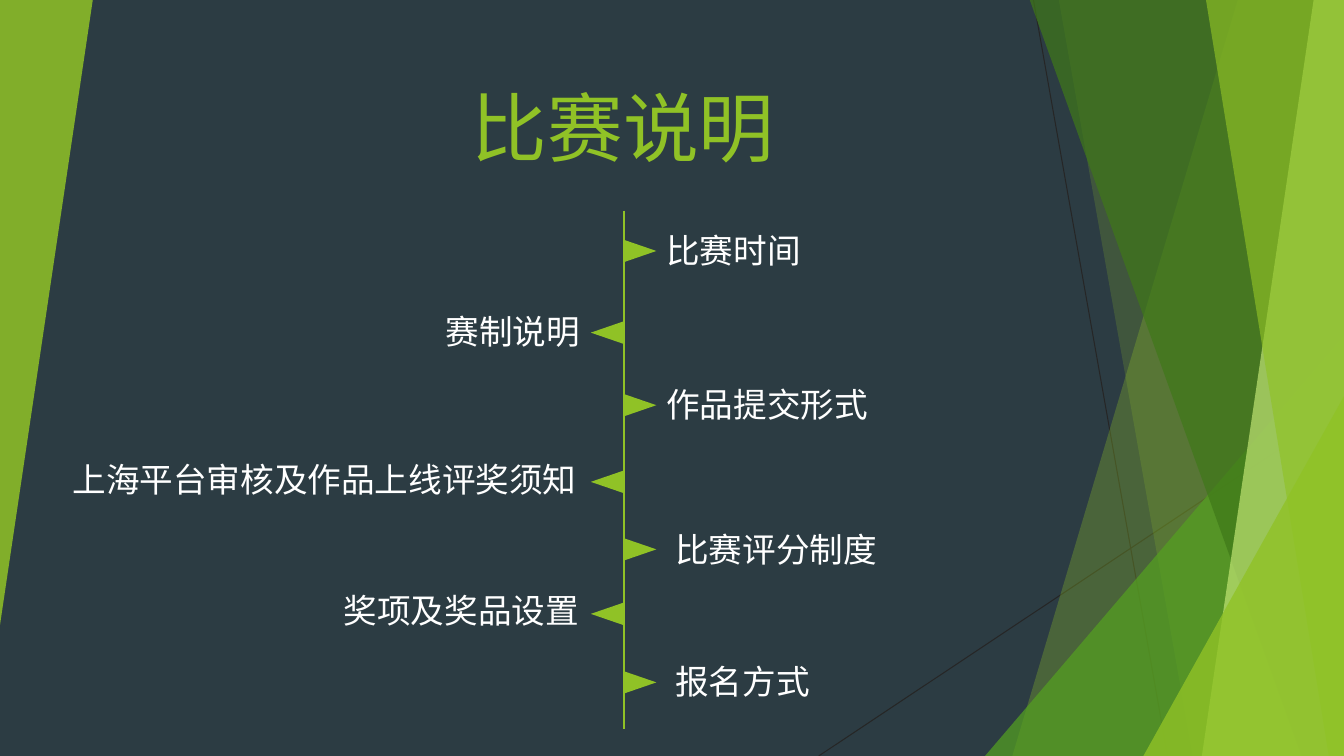
from lxml import etree
from pptx import Presentation
from pptx.dml.color import RGBColor
from pptx.enum import shapes, text
from pptx.oxml.ns import qn
from pptx.util import Inches, Pt

DARK = RGBColor(0x2C, 0x3C, 0x43)
BLACK = RGBColor(0x26, 0x26, 0x26)
WHITE = RGBColor(0xFF, 0xFF, 0xFF)
LIME = RGBColor(0x90, 0xC2, 0x26)
GREEN = RGBColor(0x54, 0xA0, 0x21)
DEEP = RGBColor(0x3F, 0x78, 0x19)
PALE = RGBColor(0xC0, 0xE4, 0x74)
TRI = shapes.MSO_SHAPE.ISOSCELES_TRIANGLE

prs = Presentation()
prs.slide_width, prs.slide_height = Inches(13.33), Inches(7.5)
slide = prs.slides.add_slide(prs.slide_layouts[0])
slide.background.fill.solid()
slide.background.fill.fore_color.rgb = DARK
sub = slide.placeholders[1].element
sub.getparent().remove(sub)


def write(box, words, size=24, color=WHITE, font="Noto Sans CJK SC",
          align=text.PP_ALIGN.LEFT, anchor=text.MSO_ANCHOR.TOP,
          wrap=True, fit=text.MSO_AUTO_SIZE.SHAPE_TO_FIT_TEXT):
    frame = box.text_frame
    frame.word_wrap, frame.auto_size = wrap, fit
    frame.vertical_anchor = anchor
    para = frame.paragraphs[0]
    para.alignment = align
    run = para.add_run()
    run.text = words
    run.font.size, run.font.name = Pt(size), font
    run.font.color.rgb = color
    etree.SubElement(run.font._element, qn("a:ea"), typeface=font)


def paint(shape, color, alpha=100):
    shape.shadow.inherit = False
    shape.line.fill.background()
    shape.fill.solid()
    shape.fill.fore_color.rgb = color
    if alpha < 100:
        tint = shape.fill._xPr.find(".//" + qn("a:srgbClr"))
        etree.SubElement(tint, qn("a:alpha"), val=str(alpha * 1000))


# Thin lines: two behind the facets, one as the timeline
for x1, y1, x2, y2, color, width in [
        (10.25, 0, 11.58, 7.5, BLACK, 0.75),
        (13.33, 4.03, 8.12, 7.5, BLACK, 0.75),
        (6.19, 2.09, 6.19, 7.23, LIME, 1)]:
    line = slide.shapes.add_connector(
        shapes.MSO_CONNECTOR.STRAIGHT,
        Inches(x1), Inches(y1), Inches(x2), Inches(y2))
    line.line.color.rgb, line.line.width = color, Pt(width)
    etree.SubElement(line._element.spPr, qn("a:effectLst"))

# Facets, back to front: bands (top x, bottom x) run to the right edge,
# corners (left, top, width, height, turn) are right triangles
for kind, dims, color, alpha in [
        ("band", (12.28, 10.04), LIME, 30),
        ("band", (10.5, 11.83), LIME, 20),
        ("corner", (9.77, 3.33, 3.56, 4.17, 0), GREEN, 72),
        ("band", (10.21, 12.91), DEEP, 70),
        ("band", (13.03, 11.92), PALE, 70),
        ("band", (11.96, 13.18), LIME, 65),
        ("corner", (11.34, 3.93, 1.99, 3.57, 0), LIME, 80),
        ("corner", (0, 0, 0.92, 6.2, 180), LIME, 85)]:
    if kind == "band":
        top, low = dims
        path = slide.shapes.build_freeform(Inches(top), Inches(-0.01))
        path.add_line_segments(
            [(Inches(x), Inches(y)) for x, y in
             [(13.33, -0.01), (13.33, 7.5), (low, 7.5)]], close=True)
        facet = path.convert_to_shape()
    else:
        facet = slide.shapes.add_shape(TRI, *map(Inches, dims[:4]))
        facet.adjustments[0] = 1
        facet.rotation = dims[4]
    paint(facet, color, alpha)

# Title
title = slide.shapes.title
title.left, title.top = Inches(-0.71), Inches(-0.05)
title.width, title.height = Inches(8.49), Inches(1.8)
write(title, "比赛说明", size=54, color=LIME, font="Noto Sans CJK JP",
      align=text.PP_ALIGN.RIGHT, anchor=text.MSO_ANCHOR.BOTTOM,
      fit=text.MSO_AUTO_SIZE.NONE)

# Timeline items alternate right and left of the line
items = [
    ("比赛时间", 2.33, (6.51, 2.23, 3.99, 0.5), True),
    ("赛制说明", 3.14, (4.32, 3.04, 2.56, 0.5), True),
    ("作品提交形式", 3.86, (6.51, 3.76, 2.56, 0.5), True),
    ("上海平台审核及作品上线评奖须知", 4.62, (0.62, 4.5, 5.25, 0.81), False),
    ("比赛评分制度", 5.29, (6.6, 5.2, 2.22, 0.5), False),
    ("奖项及奖品设置", 5.93, (3.31, 5.8, 2.56, 0.81), False),
    ("报名方式", 6.61, (6.6, 6.51, 1.55, 0.5), False),
]
for i, (words, y, place, wrap) in enumerate(items):
    x, turn = [(6.24, 90), (5.91, 270)][i % 2]
    mark = slide.shapes.add_shape(
        TRI, Inches(x), Inches(y), Inches(0.22), Inches(0.32))
    mark.rotation = turn
    paint(mark, LIME)
    label = slide.shapes.add_textbox(*map(Inches, place))
    write(label, words, wrap=wrap)

prs.save("out.pptx")
